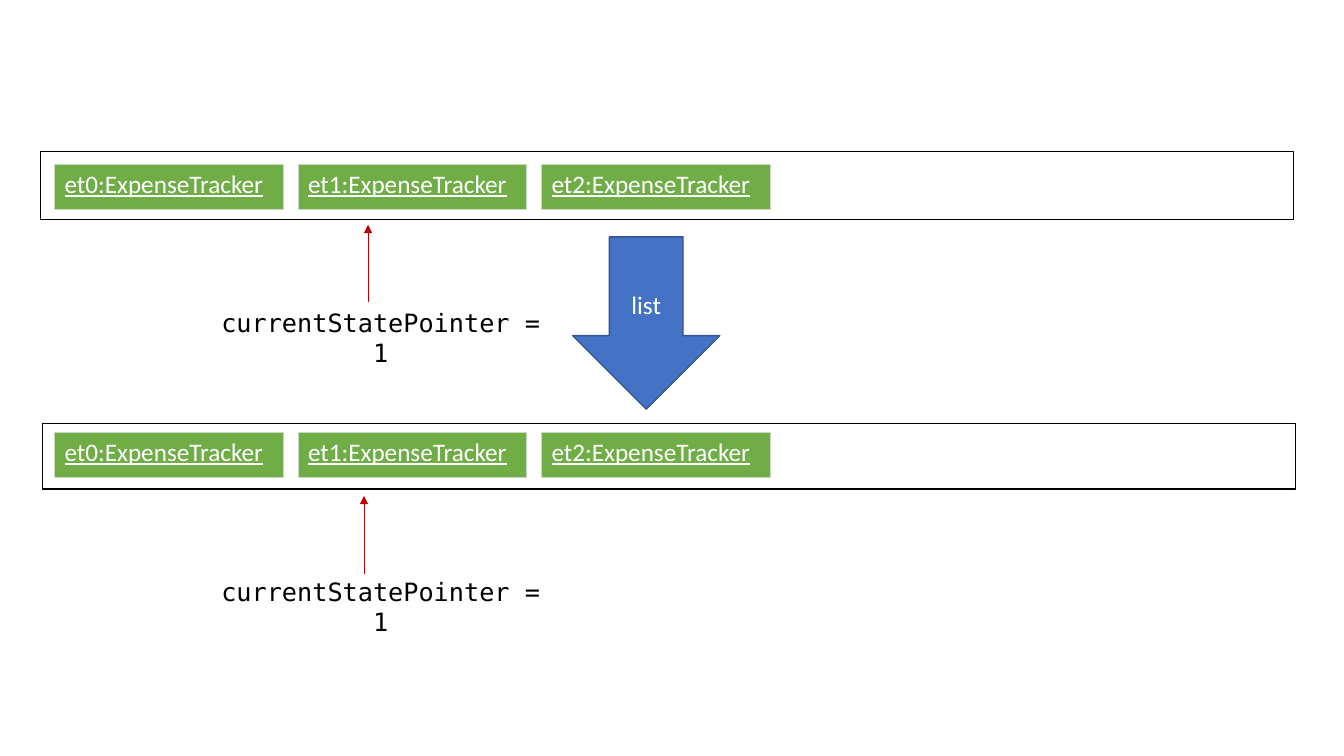
import lxml.etree
import pptx
import pptx.dml.color
import pptx.enum.shapes
import pptx.enum.text
import pptx.oxml
import pptx.oxml.ns
import pptx.util

SHAPES = pptx.enum.shapes.MSO_SHAPE
CENTER = pptx.enum.text.PP_ALIGN.CENTER
MIDDLE = pptx.enum.text.MSO_ANCHOR.MIDDLE
CELL = 0.1  # side of a grid cell in inches: the slide is 133.3 columns by 75 rows
COLUMNS, ROWS = 133.3, 75


def color(value):
    """Turn a hex string into a colour."""
    return pptx.dml.color.RGBColor.from_string(value)


def grid(*cells):
    """Turn grid cells into lengths."""
    return [pptx.util.Inches(cell * CELL) for cell in cells]


def set_values(target, values):
    """Set each attribute named in a dict."""
    for name, value in values.items():
        setattr(target, name, value)


class StateSlide:
    """Hold the style and the slide, and draw each kind of element."""

    BLACK, WHITE, RED = "000000", "FFFFFF", "C00000"
    GREEN, BORDER = "70AD47", "C9DBC1"
    BLUE, DARK_BLUE = "4472C4", "325491"
    LABEL = {"name": "Calibri", "size": pptx.util.Pt(18), "bold": False}
    CODE = {"name": "DejaVu Sans Mono", "size": pptx.util.Pt(18)}

    def __init__(self, presentation):
        """Add a blank slide."""
        self.slide = presentation.slides.add_slide(presentation.slide_layouts[6])
        self.shapes = self.slide.shapes

    def add_text(self, frame, text, font, hex_color, alignment=None):
        """Put one formatted paragraph in a text frame."""
        paragraph = frame.paragraphs[0]
        paragraph.alignment = alignment
        run = paragraph.add_run()
        run.text = text
        set_values(run.font, font)
        run.font.color.rgb = color(hex_color)

    def box(self, preset, place, line, fill=None, text=None):
        """Draw an outlined preset shape."""
        shape = self.shapes.add_shape(preset, *grid(*place))
        shape.shadow.inherit = False
        if fill:
            shape.fill.solid()
            shape.fill.fore_color.rgb = color(fill)
        else:
            shape.fill.background()
        shape.line.color.rgb = color(line)
        shape.line.width = pptx.util.Pt(1)
        if text:
            shape.text_frame.vertical_anchor = MIDDLE
            self.add_text(shape.text_frame, text, self.LABEL, self.WHITE, CENTER)

    def code(self, place, text):
        """Add centred code text."""
        frame = self.shapes.add_textbox(*grid(*place)).text_frame
        frame.word_wrap = True
        self.add_text(frame, text, self.CODE, self.BLACK, CENTER)

    def pointer(self, column, bottom, top):
        """Draw a thin arrow that points up."""
        connector = self.shapes.add_connector(
            pptx.enum.shapes.MSO_CONNECTOR.STRAIGHT, *grid(column, bottom, column, top))
        connector.line.color.rgb = color(self.RED)
        connector.line.width = pptx.util.Pt(0.5)
        tag = pptx.oxml.ns.qn
        properties = connector._element.spPr
        outline = properties.find(tag("a:ln"))
        lxml.etree.SubElement(outline, tag("a:tailEnd"), type="triangle")
        lxml.etree.SubElement(properties, tag("a:effectLst"))

    def tracker(self, place, text):
        """Draw a tracker object as a table of one cell."""
        table = self.shapes.add_table(1, 1, *grid(*place)).table
        set_values(table, {"first_row": False, "horz_banding": False})
        cell = table.cell(0, 0)
        properties = cell._tc.get_or_add_tcPr()
        for side in "LRTB":
            properties.append(pptx.oxml.parse_xml(
                f'<a:ln{side} {pptx.oxml.ns.nsdecls("a")} w="{pptx.util.Pt(0.5)}">'
                f'<a:solidFill><a:srgbClr val="{self.BORDER}"/></a:solidFill></a:ln{side}>'))
        cell.fill.solid()
        cell.fill.fore_color.rgb = color(self.GREEN)
        self.add_text(cell.text_frame, text, {**self.LABEL, "underline": True}, self.WHITE)

    def history(self, left, top, height, tracker_top, pointer_column, pointer_top, code_top):
        """Draw a list of trackers and the pointer to its current state."""
        self.box(SHAPES.RECTANGLE, (left, top, 124.3, height), self.BLACK)
        self.code((20.2, code_top, 35.1, 4), "currentStatePointer = 1")
        self.pointer(pointer_column, pointer_top + 7.7, pointer_top)
        for index in range(3):
            self.tracker((5.4 + 24.15 * index, tracker_top, 22.7, 4.5),
                         f"et{index}:ExpenseTracker")


def main():
    """Build and save the presentation."""
    presentation = pptx.Presentation()
    width, height = grid(COLUMNS, ROWS)
    set_values(presentation, {"slide_width": width, "slide_height": height})
    page = StateSlide(presentation)
    page.box(SHAPES.DOWN_ARROW, (56.8, 23.5, 14.6, 17.1), page.DARK_BLUE, page.BLUE, "list")
    page.history(left=4, top=15, height=6.8, tracker_top=16.3,
                 pointer_column=36.5, pointer_top=22.3, code_top=30)
    page.history(left=4.2, top=42, height=6.5, tracker_top=42.9,
                 pointer_column=36.1, pointer_top=49.2, code_top=56.7)
    presentation.save("out.pptx")


main()
